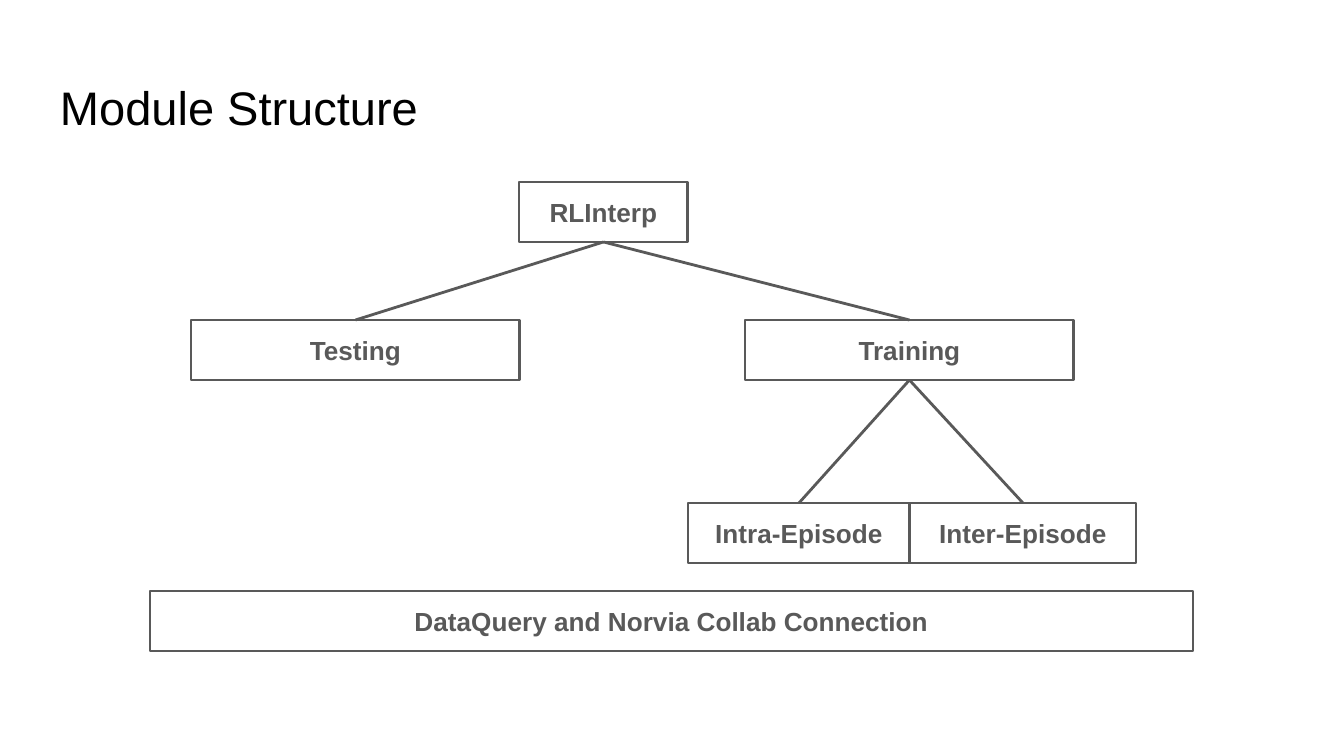
from lxml.etree import SubElement
from pptx import Presentation
from pptx.dml.color import RGBColor
from pptx.enum.shapes import MSO_CONNECTOR, MSO_SHAPE
from pptx.enum.text import MSO_ANCHOR, PP_ALIGN
from pptx.oxml.ns import qn
from pptx.util import Pt

PX = 6804  # EMU per px
THEME = {
    "font": "Arial",
    "title_color": RGBColor(0x00, 0x00, 0x00),
    "module_color": RGBColor(0x59, 0x59, 0x59),
    "title_size": Pt(25.2),
    "module_size": Pt(14),
    "line_width": Pt(1.5),
}
MARGIN = 13 * PX
BOX_HEIGHT = 60


def write_text(shape, text, *, size, color, bold=False,
               align=PP_ALIGN.LEFT, anchor=MSO_ANCHOR.MIDDLE):
    frame = shape.text_frame
    frame.word_wrap = True
    frame.vertical_anchor = anchor
    frame.margin_left = frame.margin_right = MARGIN
    frame.margin_top = frame.margin_bottom = MARGIN
    paragraph = frame.paragraphs[0]
    paragraph.alignment = align
    run = paragraph.add_run()
    run.text = text
    run.font.name = THEME["font"]
    run.font.size = size
    run.font.bold = bold
    run.font.color.rgb = color


prs = Presentation()
prs.slide_width, prs.slide_height = 1344 * PX, 756 * PX
slide = prs.slides.add_slide(prs.slide_layouts[6])

title = slide.shapes.add_textbox(47 * PX, 66 * PX, 1252 * PX, 82 * PX)
write_text(title, "Module Structure", size=THEME["title_size"],
           color=THEME["title_color"], anchor=MSO_ANCHOR.BOTTOM)

# Module name, left, top, width
MODULES = [
    ("RLInterp", 519, 182, 169),
    ("DataQuery and Norvia Collab Connection", 150, 591, 1043),
    ("Testing", 191, 320, 329),
    ("Training", 745, 320, 329),
    ("Intra-Episode", 688, 503, 222),
    ("Inter-Episode", 910, 503, 226),
]
modules = {}
for name, left, top, width in MODULES:
    module = slide.shapes.add_shape(
        MSO_SHAPE.RECTANGLE, left * PX, top * PX, width * PX, BOX_HEIGHT * PX)
    module.shadow.inherit = False
    module.fill.background()
    module.line.color.rgb = THEME["module_color"]
    module.line.width = THEME["line_width"]
    write_text(module, name, size=THEME["module_size"], bold=True,
               color=THEME["module_color"], align=PP_ALIGN.CENTER)
    modules[name] = module

BRANCHES = [
    ("RLInterp", "Testing"),
    ("RLInterp", "Training"),
    ("Training", "Intra-Episode"),
    ("Training", "Inter-Episode"),
]
BOTTOM_SITE, TOP_SITE = 2, 0
for parent, child in BRANCHES:
    branch = slide.shapes.add_connector(MSO_CONNECTOR.STRAIGHT, 0, 0, 0, 0)
    branch.begin_connect(modules[parent], BOTTOM_SITE)
    branch.end_connect(modules[child], TOP_SITE)
    branch.line.color.rgb = THEME["module_color"]
    branch.line.width = THEME["line_width"]
    SubElement(branch._element.spPr, qn("a:effectLst"))

prs.save("out.pptx")
